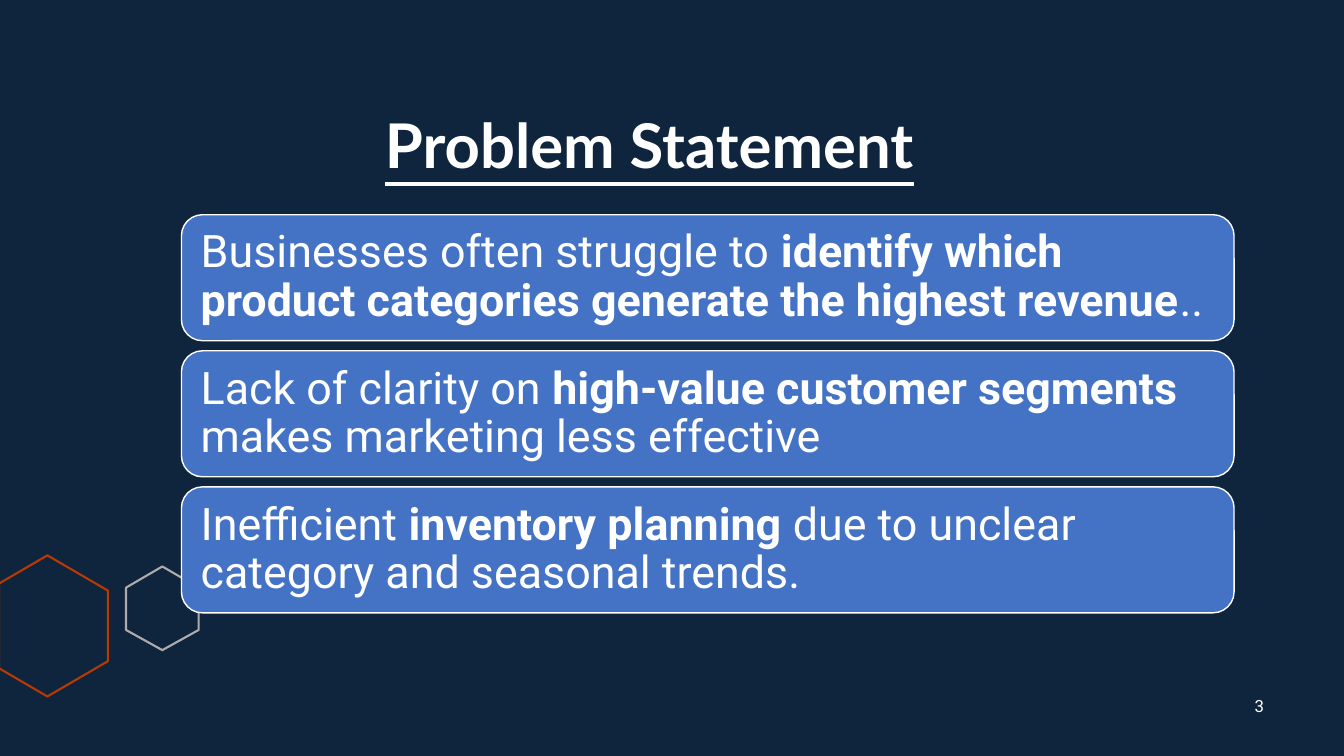
import pptx
import pptx.dml.color
import pptx.enum.shapes
import pptx.enum.text
import pptx.util
from pptx.util import Inches

TITLE = "Problem Statement"
PAGE_NUMBER = "3"

# Each problem is a list of (words, bold) pieces.
PROBLEMS = [
    [("Businesses often struggle to ", False),
     ("identify which product categories generate the highest revenue", True),
     ("..", False)],
    [("Lack of clarity on ", False),
     ("high‑value customer segments", True),
     (" makes marketing less effective", False)],
    [("Inefficient ", False),
     ("inventory planning", True),
     (" due to unclear category and seasonal trends.", False)],
]

# Hexagon corners in inches, with the outline colour's theme key.
HEXAGONS = [
    ("orange", [(0.47, 5.51), (1.07, 5.86), (1.07, 6.56),
                (0.47, 6.91), (-0.01, 6.63), (-0.01, 5.79)]),
    ("grey", [(1.61, 5.62), (1.97, 5.83), (1.97, 6.25),
              (1.61, 6.45), (1.25, 6.25), (1.25, 5.83)]),
]

THEME = {
    "navy": "0F253E", "blue": "4472C4", "white": "FFFFFF",
    "orange": "B83903", "grey": "AFABAB",
    "title_font": "Lato", "body_font": "Roboto",
    "title_size": 44, "problem_size": 32, "page_size": 12,
}

CARD_LEFT, CARD_TOP, CARD_WIDTH, CARD_HEIGHT = 1.8, 2.13, 10.44, 1.25
CARD_PITCH = 1.35
CARD_INSET = 0.13


def color(key):
    return pptx.dml.color.RGBColor.from_string(THEME[key])


def style_paragraph(paragraph, font_key, size_key):
    paragraph.font.name = THEME[font_key]
    paragraph.font.size = pptx.util.Pt(THEME[size_key])
    paragraph.font.color.rgb = color("white")


def style_outline(shape, key, width):
    shape.shadow.inherit = False
    shape.line.color.rgb = color(key)
    shape.line.width = pptx.util.Pt(width)


def add_hexagon(slide, key, corners):
    points = [(Inches(x), Inches(y)) for x, y in corners]
    builder = slide.shapes.build_freeform(*points[0])
    builder.add_line_segments(points[1:], close=True)
    hexagon = builder.convert_to_shape()
    hexagon.fill.background()
    style_outline(hexagon, key, 1.5)


def add_label(slide, words, box, anchor, font_key, size_key):
    """Add a one-paragraph text box and return its paragraph."""
    frame = slide.shapes.add_textbox(*map(Inches, box)).text_frame
    frame.word_wrap = True
    frame.vertical_anchor = anchor
    paragraph = frame.paragraphs[0]
    paragraph.text = words
    style_paragraph(paragraph, font_key, size_key)
    return paragraph


def add_problem_card(slide, index, pieces):
    card = slide.shapes.add_shape(
        pptx.enum.shapes.MSO_SHAPE.ROUNDED_RECTANGLE,
        Inches(CARD_LEFT), Inches(CARD_TOP + index * CARD_PITCH),
        Inches(CARD_WIDTH), Inches(CARD_HEIGHT))
    card.fill.solid()
    card.fill.fore_color.rgb = color("blue")
    style_outline(card, "white", 1)

    frame = card.text_frame
    frame.word_wrap = True
    frame.vertical_anchor = pptx.enum.text.MSO_ANCHOR.MIDDLE
    frame.margin_left = frame.margin_right = Inches(CARD_INSET)
    frame.margin_top = frame.margin_bottom = Inches(CARD_INSET)
    problem = frame.paragraphs[0]
    problem.alignment = pptx.enum.text.PP_ALIGN.LEFT
    problem.line_spacing = 0.9
    style_paragraph(problem, "body_font", "problem_size")
    for words, bold in pieces:
        run = problem.add_run()
        run.text = words
        run.font.bold = bold
        run.font.color.rgb = color("white")


def main():
    deck = pptx.Presentation()
    deck.slide_width, deck.slide_height = Inches(13.33), Inches(7.5)
    slide = deck.slides.add_slide(deck.slide_layouts[6])
    slide.background.fill.solid()
    slide.background.fill.fore_color.rgb = color("navy")

    for key, corners in HEXAGONS:
        add_hexagon(slide, key, corners)

    title = add_label(slide, TITLE, (3.72, -0.45, 6.3, 2.3),
                      pptx.enum.text.MSO_ANCHOR.BOTTOM,
                      "title_font", "title_size")
    title.line_spacing = 0.9
    title.font.bold = True
    title.font.underline = True

    for index, pieces in enumerate(PROBLEMS):
        add_problem_card(slide, index, pieces)

    page = add_label(slide, PAGE_NUMBER, (12.24, 6.8, 0.5, 0.4),
                     pptx.enum.text.MSO_ANCHOR.MIDDLE,
                     "body_font", "page_size")
    page.alignment = pptx.enum.text.PP_ALIGN.CENTER

    deck.save("out.pptx")


if __name__ == "__main__":
    main()
